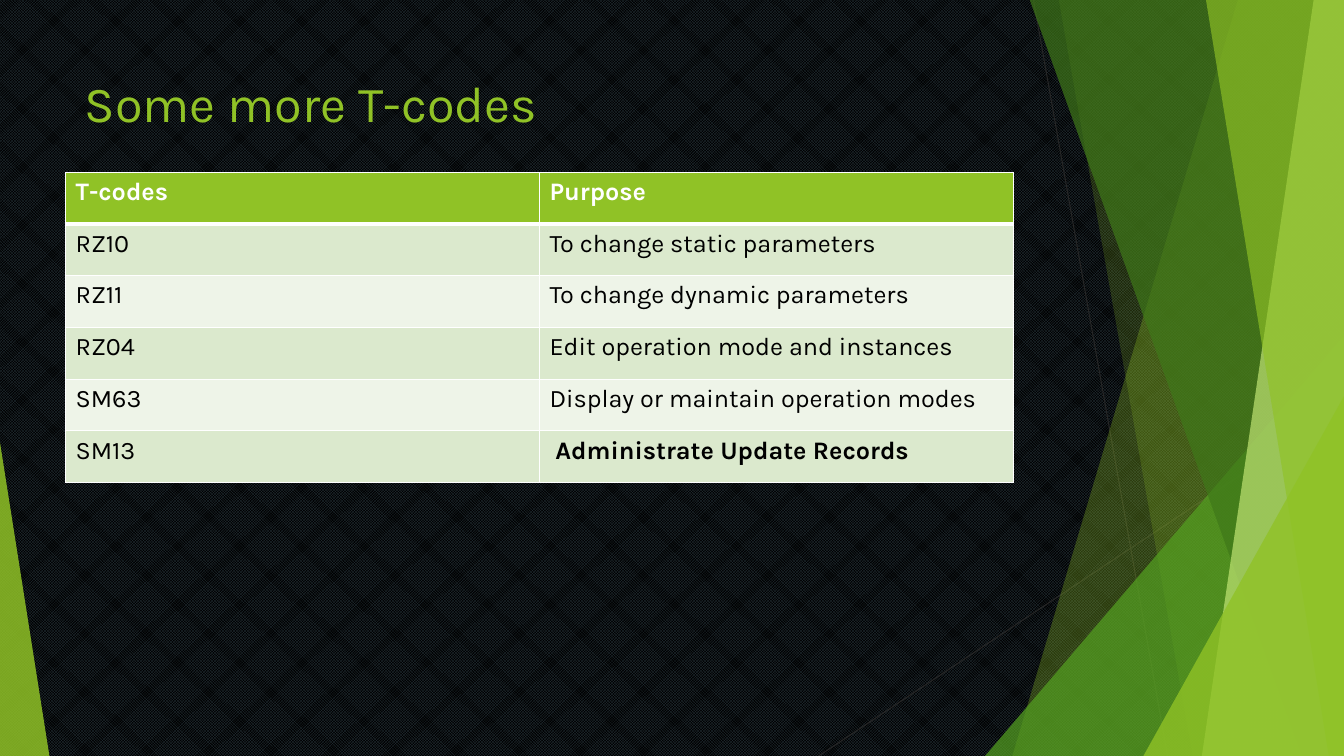
import pptx
import pptx.util
import pptx.dml.color
import pptx.enum.dml
import pptx.enum.shapes
import pptx.enum.text
import pptx.oxml
import pptx.oxml.ns
import lxml.etree as etree

Inches, Pt = pptx.util.Inches, pptx.util.Pt
RGBColor = pptx.dml.color.RGBColor
qn = pptx.oxml.ns.qn

# Content
TITLE = "Some more T-codes"
ROWS = [
    # each cell is a list of (text, bold) runs
    ([("T-codes", True)], [("Purpose", True)]),
    ([("RZ10", False)], [("To change static parameters", False)]),
    ([("RZ11", False)], [("To change dynamic parameters", False)]),
    ([("RZ04", False)], [("Edit operation mode and instances", False)]),
    ([("SM63", False)], [("Display or maintain operation modes", False)]),
    ([("SM13", False)], [(" ", False), ("Administrate Update Records", True)]),
]

# Style
FONT = "Karla"
BLACK = RGBColor(0x00, 0x00, 0x00)
WHITE = RGBColor(0xFF, 0xFF, 0xFF)
SLATE = RGBColor(0x2C, 0x3C, 0x43)
GRAY = RGBColor(0x26, 0x26, 0x26)
LIME = RGBColor(0x90, 0xC2, 0x26)
GREEN = RGBColor(0x54, 0xA0, 0x21)
FOREST = RGBColor(0x3F, 0x78, 0x19)
PALE_LIME = RGBColor(0xC0, 0xE4, 0x74)
BAND_DARK = RGBColor(0xDB, 0xE9, 0xCD)
BAND_LIGHT = RGBColor(0xEE, 0xF4, 0xE8)

# Decoration, back to front
WIDTH, HEIGHT, TOP = 13.33, 7.5, -0.01
RAYS = [(10.25, 0, 11.58, HEIGHT), (WIDTH, 4.03, 8.12, HEIGHT)]
FACETS = [
    # band: left edge at the top and bottom; triangle: left, top, width, apex
    ("band", (12.28, 10.04), LIME, 30),
    ("band", (10.5, 11.83), LIME, 20),
    ("triangle", (9.77, 3.33, 3.56, 1), GREEN, 72),
    ("band", (10.21, 12.91), FOREST, 70),
    ("band", (13.03, 11.92), PALE_LIME, 70),
    ("band", (11.96, 13.18), LIME, 65),
    ("triangle", (11.34, 3.93, 1.99, 1), LIME, 80),
    ("triangle", (0, 4.39, 0.49, 0), LIME, 85),
]


def add_ray(shapes, ends):
    line = shapes.add_connector(pptx.enum.shapes.MSO_CONNECTOR.STRAIGHT,
                                *[Inches(v) for v in ends])
    line.line.color.rgb = GRAY
    line.line.width = Pt(0.75)
    etree.SubElement(line._element.spPr, qn("a:effectLst"))


def add_facet(shapes, kind, geometry, color, opacity):
    if kind == "band":
        top_x, bottom_x = geometry
        corners = [(top_x, TOP), (WIDTH, TOP), (WIDTH, HEIGHT), (bottom_x, HEIGHT)]
        points = [(Inches(x), Inches(y)) for x, y in corners]
        builder = shapes.build_freeform(*points[0], scale=1.0)
        builder.add_line_segments(points[1:], close=True)
        sp = builder.convert_to_shape()
    else:
        left, top, width, apex = geometry
        sp = shapes.add_shape(pptx.enum.shapes.MSO_SHAPE.ISOSCELES_TRIANGLE, Inches(left),
                              Inches(top), Inches(width), Inches(HEIGHT - top))
        sp.adjustments[0] = apex
    sp.shadow.inherit = False
    sp.fill.solid()
    sp.fill.fore_color.rgb = color
    sp.line.fill.background()
    clr = sp._element.spPr.find(qn("a:solidFill"))[0]
    etree.SubElement(clr, qn("a:alpha")).set("val", str(opacity * 1000))


def add_run(p, text, size, color, bold=False):
    r = p.add_run()
    r.text = text
    r.font.name = FONT
    r.font.size = Pt(size)
    r.font.bold = bold
    r.font.color.rgb = color


def set_border(cell, side, width):
    ln = etree.SubElement(cell._tc.get_or_add_tcPr(), qn("a:ln" + side))
    ln.set("w", str(Pt(width)))
    fill = etree.SubElement(ln, qn("a:solidFill"))
    etree.SubElement(fill, qn("a:srgbClr")).set("val", str(WHITE))


def main():
    prs = pptx.Presentation()
    prs.slide_width, prs.slide_height = Inches(WIDTH), Inches(HEIGHT)
    slide = prs.slides.add_slide(prs.slide_layouts[5])
    shapes = slide.shapes

    # Background
    bg = slide.background.fill
    bg.patterned()
    bg.pattern = pptx.enum.dml.MSO_PATTERN.SMALL_CHECKER_BOARD
    bg.fore_color.rgb = SLATE
    bg.back_color.rgb = BLACK

    # Rays and facets
    for ends in RAYS:
        add_ray(shapes, ends)
    for facet in FACETS:
        add_facet(shapes, *facet)

    # Title
    title = shapes.title
    title.left, title.top = Inches(0.74), Inches(0.67)
    title.width, title.height = Inches(9.4), Inches(1.44)
    tf = title.text_frame
    tf.word_wrap = True
    tf.vertical_anchor = pptx.enum.text.MSO_ANCHOR.TOP
    p = tf.paragraphs[0]
    p.alignment = pptx.enum.text.PP_ALIGN.LEFT
    add_run(p, TITLE, 36, LIME)

    # Table
    table = shapes.add_table(len(ROWS), 2, Inches(0.65), Inches(1.71),
                             Inches(9.4), Inches(3.08)).table
    for i, row in enumerate(ROWS):
        header = i == 0
        band = LIME if header else (BAND_DARK if i % 2 else BAND_LIGHT)
        for j, runs in enumerate(row):
            cell = table.cell(i, j)
            for side in "LRTB":
                under_header = (i, side) in ((0, "B"), (1, "T"))
                set_border(cell, side, 3 if under_header else 1)
            cell.fill.solid()
            cell.fill.fore_color.rgb = band
            for text, bold in runs:
                add_run(cell.text_frame.paragraphs[0], text, 18,
                        WHITE if header else BLACK, bold)

    prs.save("out.pptx")


if __name__ == "__main__":
    main()
